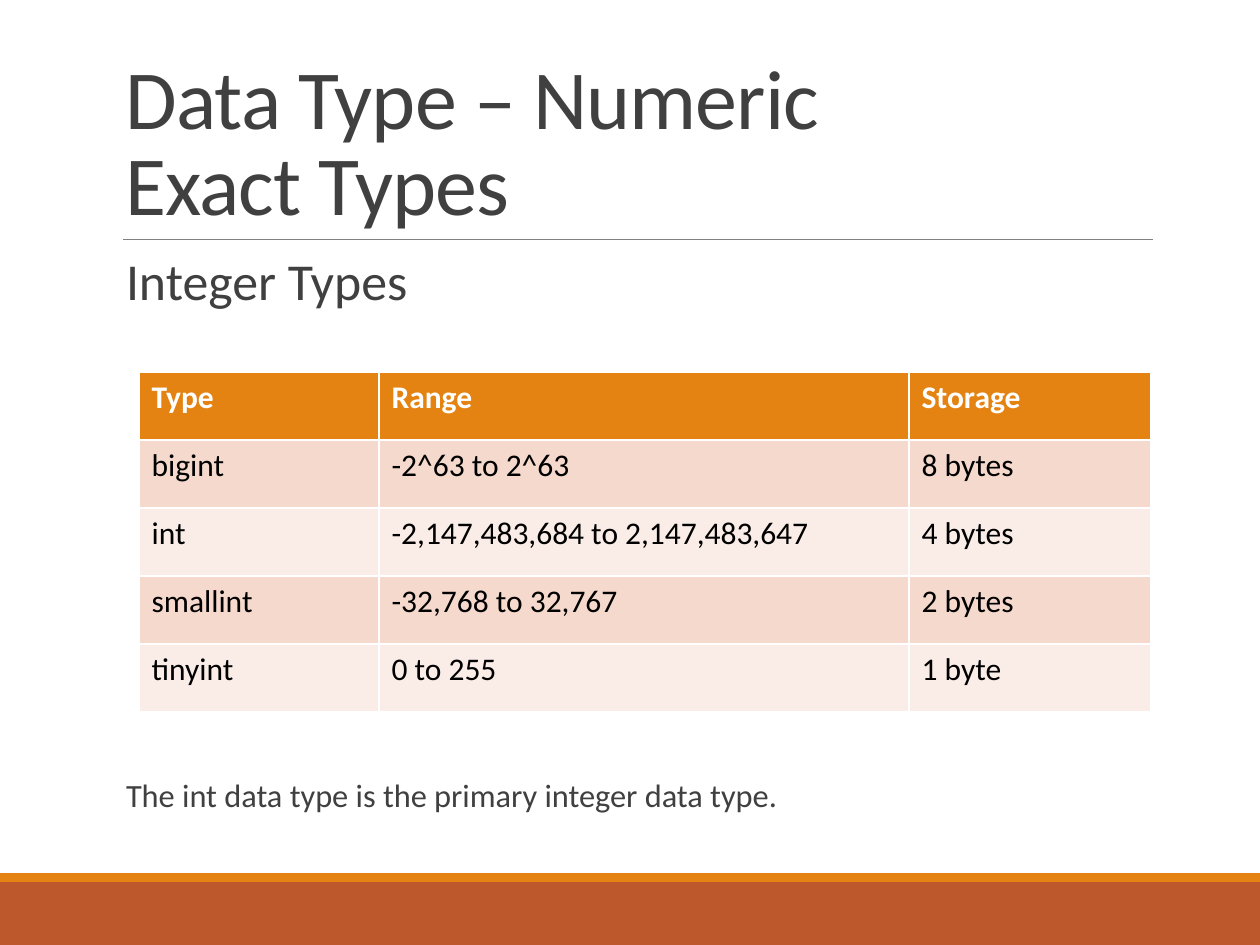
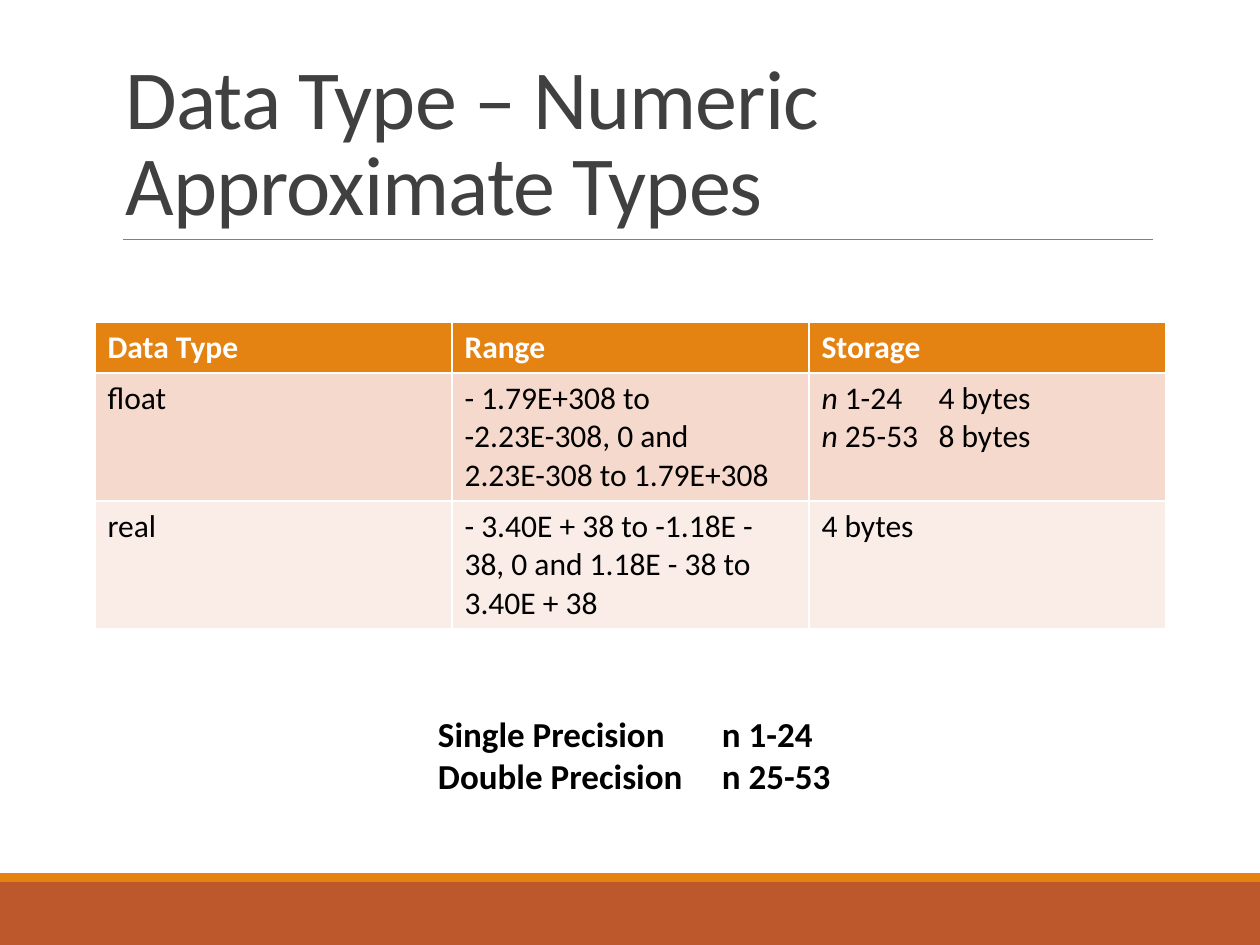
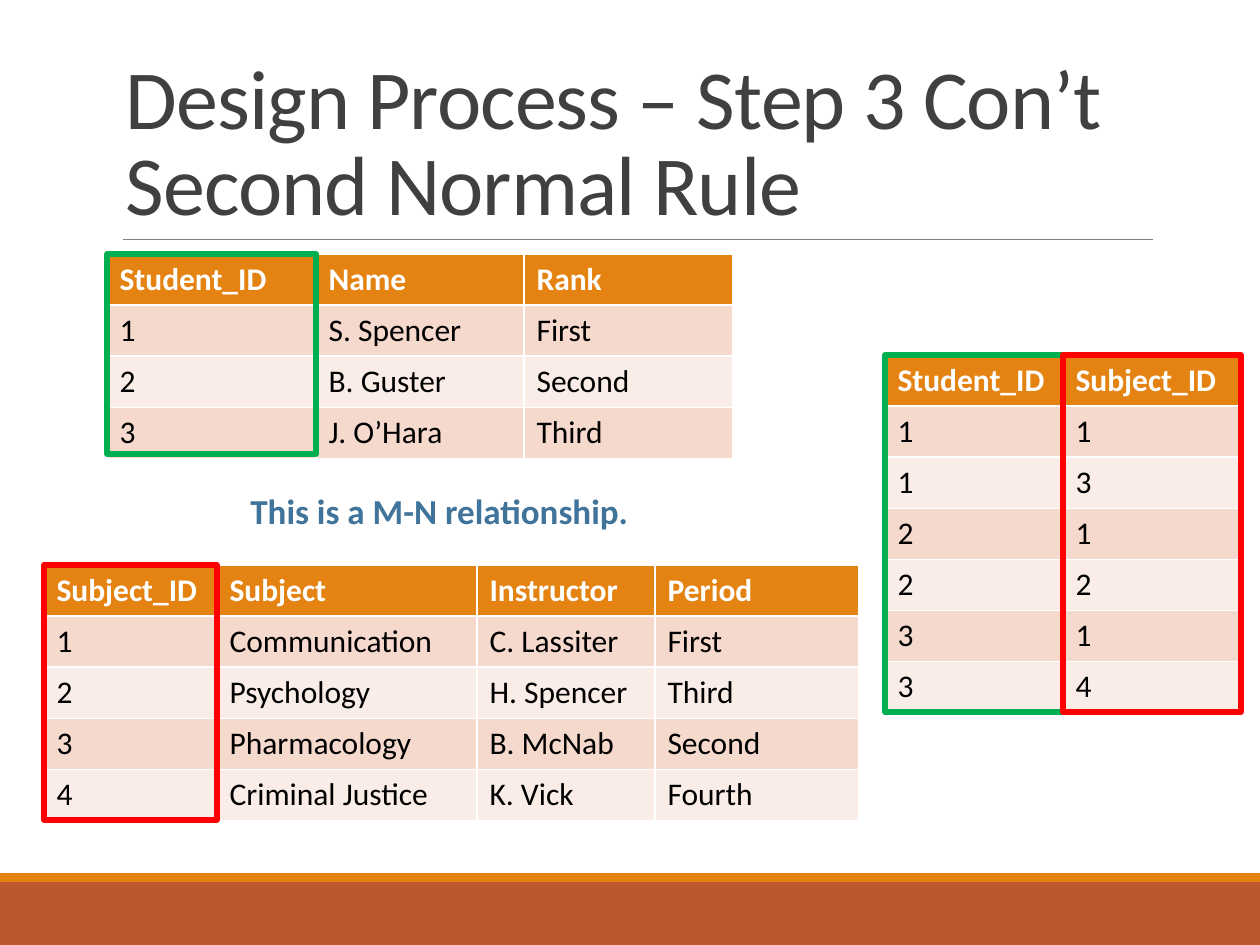
import pptx
import pptx.dml.color
import pptx.enum.shapes
import pptx.enum.text
import pptx.oxml.ns
import pptx.util
from lxml import etree

COLORS = {
    "band": "BD582C", "accent": "E48312", "rule": "808080", "title": "404040",
    "header text": "FFFFFF", "cell text": "000000", "odd row": "F5D9CC", "even row": "FAEDE7",
    "note": "40749B", "student key": "00B050", "subject key": "FF0000",
}
FONT = "Calibri"
TITLE_LAYOUT, BODY_LAYOUT = 5, 1

INTEGER_TITLE = "Data Type – Numeric \vExact Types"
INTEGER_HEADING = "Integer Types"
INTEGER_NOTE = "The int data type is the primary integer data type."
INTEGER_TYPES = {
    "at": (139, 372), "columns": (240, 530, 242), "rows": [68] * 5,
    "cells": [
        ("Type", "Range", "Storage"),
        ("bigint", "-2^63 to 2^63", "8 bytes"),
        ("int", "-2,147,483,684 to 2,147,483,647", "4 bytes"),
        ("smallint", "-32,768 to 32,767", "2 bytes"),
        ("tinyint", "0 to 255", "1 byte"),
    ],
}

APPROXIMATE_TITLE = "Data Type – Numeric \vApproximate Types"
# A cell given as a list holds one (italic, plain) pair per line.
FLOAT_STORAGE = [("n", " 1-24\t4 bytes"), ("n", " 25-53\t8 bytes")]
APPROXIMATE_TYPES = {
    "at": (95, 322), "columns": (357, 357, 357), "rows": (50, 128, 128),
    "cells": [
        ("Data Type", "Range", "Storage"),
        ("float", "- 1.79E+308 to -2.23E-308, 0 and 2.23E-308 to 1.79E+308", FLOAT_STORAGE),
        ("real", "- 3.40E + 38 to -1.18E - 38, 0 and 1.18E - 38 to 3.40E + 38", "4 bytes"),
    ],
}
PRECISIONS = ["Single Precision\tn 1-24", "Double Precision\tn 25-53"]

NORMAL_RULE_TITLE = "Design Process – Step 3 Con’t Second Normal Rule"
RELATIONSHIP_NOTE = "This is a M-N relationship."
SUBJECTS = {
    "at": (44, 565), "columns": (173, 260, 178, 204), "rows": [51] * 5,
    "cells": [
        ("Subject_ID", "Subject", "Instructor", "Period"),
        ("1", "Communication", "C. Lassiter", "First"),
        ("2", "Psychology", "H. Spencer", "Third"),
        ("3", "Pharmacology", "B. McNab", "Second"),
        ("4", "Criminal Justice", "K. Vick", "Fourth"),
    ],
    "keys": {0: "subject key"},
}
STUDENTS = {
    "at": (107, 254), "columns": (209, 208, 209), "rows": [50] * 4,
    "cells": [
        ("Student_ID", "Name", "Rank"),
        ("1", "S. Spencer", "First"),
        ("2", "B. Guster", "Second"),
        ("3", "J. O’Hara", "Third"),
    ],
    "keys": {0: "student key"},
}
ENROLMENTS = {
    "at": (885, 355), "columns": (178, 178), "rows": [51] * 7,
    "cells": [
        ("Student_ID", "Subject_ID"),
        ("1", "1"), ("1", "3"), ("2", "1"), ("2", "2"), ("3", "1"), ("3", "4"),
    ],
    "keys": {0: "student key", 1: "subject key"},
}


def px(length):
    return pptx.util.Emu(round(length * 914400 / 126))


def color(name):
    return pptx.dml.color.RGBColor.from_string(COLORS[name])


def set_font(paragraph, size, color_name, bold=False):
    font = paragraph.font
    font.name, font.size, font.bold = FONT, pptx.util.Pt(size), bold
    font.color.rgb = color(color_name)


def paragraph_properties(paragraph_holder):
    """Yield the a:pPr of each paragraph in a text frame, adding those that are missing."""
    for paragraph in paragraph_holder.paragraphs:
        paragraph.level = 0
        yield paragraph._p.get_or_add_pPr()


def set_tab(text_frame, position):
    for properties in paragraph_properties(text_frame):
        tabs = etree.SubElement(properties, pptx.oxml.ns.qn("a:tabLst"))
        etree.SubElement(tabs, pptx.oxml.ns.qn("a:tab"), pos=str(px(position)), algn="l")


def place(shape, left, top, width, height):
    shape.left, shape.top, shape.width, shape.height = map(px, (left, top, width, height))


def add_band(slide, top, height, color_name):
    band = slide.shapes.add_shape(
        pptx.enum.shapes.MSO_SHAPE.RECTANGLE, *map(px, (0, top, 1260, height)))
    band.shadow.inherit = False
    band.fill.solid()
    band.fill.fore_color.rgb = color(color_name)
    band.line.fill.background()


def add_slide(deck, layout, title_text):
    """Add a slide with the shared bands, rule and title."""
    slide = deck.slides.add_slide(deck.slide_layouts[layout])
    add_band(slide, 882, 63, "band")
    add_band(slide, 873, 9, "accent")
    rule = slide.shapes.add_connector(
        pptx.enum.shapes.MSO_CONNECTOR.STRAIGHT, *map(px, (123, 239, 1153, 239)))
    rule.line.color.rgb = color("rule")
    rule.line.width = pptx.util.Pt(0.5)
    etree.SubElement(rule.element.spPr, pptx.oxml.ns.qn("a:effectLst"))

    title = slide.shapes.title
    place(title, 113, 39, 1040, 200)
    frame = title.text_frame
    frame.text = title_text
    frame.auto_size = pptx.enum.text.MSO_AUTO_SIZE.NONE
    frame.vertical_anchor = pptx.enum.text.MSO_ANCHOR.BOTTOM
    heading = frame.paragraphs[0]
    heading.alignment = pptx.enum.text.PP_ALIGN.LEFT
    heading.line_spacing = 0.85
    set_font(heading, 48, "title")
    for properties in title.element.iter(pptx.oxml.ns.qn("a:defRPr")):
        properties.set("spc", "-50")
    return slide


def fill_cell(cell, content, row):
    cell.fill.solid()
    fill = "accent" if row == 0 else "odd row" if row % 2 else "even row"
    cell.fill.fore_color.rgb = color(fill)
    frame = cell.text_frame
    if isinstance(content, str):
        frame.text = content
    else:
        frame.text = "\n".join("" for _ in content)
        for paragraph, (italic, plain) in zip(frame.paragraphs, content):
            variable = paragraph.add_run()
            variable.text, variable.font.italic = italic, True
            paragraph.add_run().text = plain
        set_tab(frame, 117)
    for paragraph in frame.paragraphs:
        set_font(paragraph, 18, "cell text" if row else "header text", bold=row == 0)


def add_data_table(slide, data):
    columns, rows = data["columns"], data["rows"]
    table = slide.shapes.add_table(
        len(rows), len(columns), *map(px, (*data["at"], sum(columns), sum(rows)))).table
    for column, width in zip(table.columns, columns):
        column.width = px(width)
    for row, (height, contents) in enumerate(zip(rows, data["cells"])):
        table.rows[row].height = px(height)
        for column, content in enumerate(contents):
            fill_cell(table.cell(row, column), content, row)


def outline_keys(slide, data):
    left, top = data["at"]
    for column, color_name in data["keys"].items():
        outline = slide.shapes.add_shape(
            pptx.enum.shapes.MSO_SHAPE.RECTANGLE,
            *map(px, (left + sum(data["columns"][:column]), top,
                      data["columns"][column], sum(data["rows"]))))
        outline.shadow.inherit = False
        outline.fill.background()
        outline.line.color.rgb = color(color_name)
        outline.line.width = pptx.util.Pt(3)


def add_note(slide, box, lines, color_name, tab=None, margin=None):
    frame = slide.shapes.add_textbox(*map(px, box)).text_frame
    frame.word_wrap = True
    frame.text = "\n".join(lines)
    if margin:
        frame.margin_left = px(margin)
    if tab:
        set_tab(frame, tab)
    for paragraph in frame.paragraphs:
        set_font(paragraph, 20, color_name, bold=True)


def build_integer_slide(deck):
    slide = add_slide(deck, BODY_LAYOUT, INTEGER_TITLE)
    body = slide.placeholders[1]
    place(body, 113, 254, 1040, 602)
    frame = body.text_frame
    frame.auto_size = pptx.enum.text.MSO_AUTO_SIZE.NONE
    frame.margin_left = frame.margin_right = 0
    frame.text = f"{INTEGER_HEADING}\n{INTEGER_NOTE}"
    for properties in paragraph_properties(frame):
        properties.set("marL", str(px(13)))
        properties.set("indent", "0")
        etree.SubElement(properties, pptx.oxml.ns.qn("a:buNone"))
    # The note's space before leaves room for the table.
    for paragraph, size, space in zip(frame.paragraphs, (29.6, 18.5), (0, 268)):
        paragraph.line_spacing = 0.8
        paragraph.space_before = pptx.util.Pt(space)
        paragraph.space_after = pptx.util.Pt(2)
        set_font(paragraph, size, "title")
    add_data_table(slide, INTEGER_TYPES)


def build_approximate_slide(deck):
    slide = add_slide(deck, TITLE_LAYOUT, APPROXIMATE_TITLE)
    add_data_table(slide, APPROXIMATE_TYPES)
    add_note(slide, (406, 706, 447, 97), PRECISIONS, "cell text", tab=284, margin=32)


def build_normal_rule_slide(deck):
    slide = add_slide(deck, TITLE_LAYOUT, NORMAL_RULE_TITLE)
    tables = (SUBJECTS, STUDENTS, ENROLMENTS)
    for data in tables:
        add_data_table(slide, data)
    add_note(slide, (238, 483, 422, 55), [RELATIONSHIP_NOTE], "note")
    for data in tables:
        outline_keys(slide, data)


def main():
    deck = pptx.Presentation()
    deck.slide_width, deck.slide_height = px(1260), px(945)
    build_integer_slide(deck)
    build_approximate_slide(deck)
    build_normal_rule_slide(deck)
    deck.save("out.pptx")


if __name__ == "__main__":
    main()
